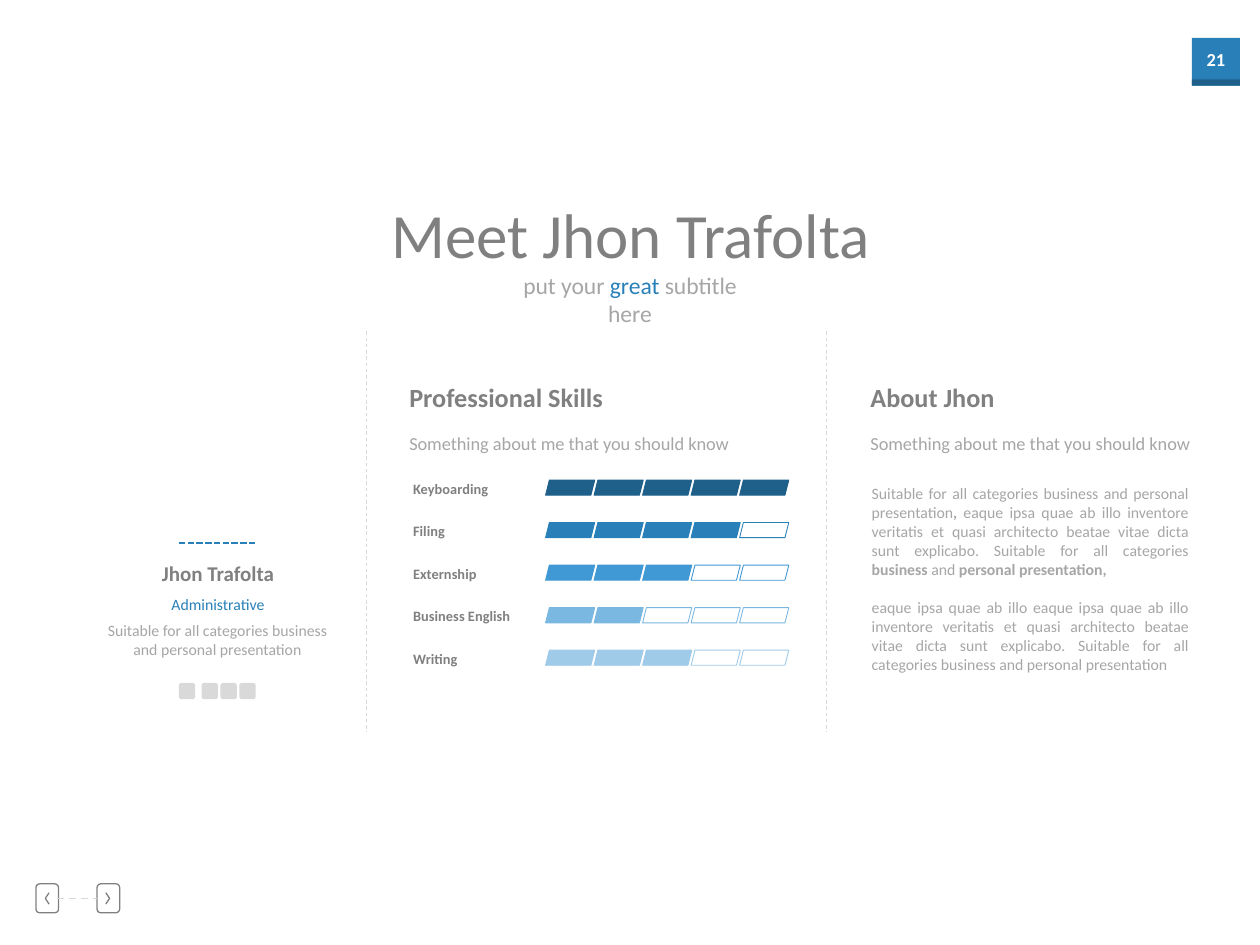
import pptx
import pptx.util
import pptx.dml.color
import pptx.enum.dml
import pptx.enum.shapes
import pptx.enum.text
import pptx.oxml.ns
from lxml import etree

SHAPE = pptx.enum.shapes.MSO_SHAPE
ALIGN = pptx.enum.text.PP_ALIGN
DASH = pptx.enum.dml.MSO_LINE

WIDTH, HEIGHT = 10, 7.5
COLUMNS = 100
CELL = WIDTH / COLUMNS

THEME = {
    "font": "Calibri",
    "dark": "808080", "mid": "A6A6A6", "light": "D9D9D9",
    "accent": "2980B9", "shade": "1F608B", "white": "FFFFFF",
    "levels": ["1F608B", "2980B9", "4098D4", "7BB8E1", "9FCBE9"],
    "title": 36, "heading": 15, "subtitle": 13.5, "name": 12,
    "lead": 10.5, "body": 9, "label": 8.25,
}

SKILLS = [("Keyboarding", 5), ("Filing", 4), ("Externship", 3),
          ("Business English", 2), ("Writing", 3)]
SEGMENTS = 5
LEAD = "Something about me that you should know"
SECTIONS = [(31.5, "Professional Skills"), (68.1, "About Jhon")]

ABOUT = [
    [("Suitable for all categories business and personal presentation",),
     (",", "bold"),
     (" eaque ipsa quae ab illo inventore veritatis et quasi architecto beatae "
      "vitae dicta sunt explicabo. Suitable for all categories ",),
     ("business", "bold"), (" and ",), ("personal presentation,", "bold")],
    [("eaque ipsa quae ab illo eaque ipsa quae ab illo inventore veritatis et "
      "quasi architecto beatae vitae dicta sunt explicabo. Suitable for all "
      "categories business and personal presentation",)],
]

TEXTS = [
    ((94.6, 3.3, 3.8, 2.8), "21", "lead", "white", True),
    ((29.8, 15, 40.5, 7.1), "Meet Jhon Trafolta", "title", "dark", False),
    ((11.7, 44, 11.2, 3), "Jhon Trafolta", "name", "dark", True),
    ((12.5, 46.7, 9.6, 2.5), "Administrative", "body", "accent", False),
    ((6.9, 48.8, 20.7, 4),
     "Suitable for all categories business and personal presentation",
     "body", "mid", False),
]
SUBTITLE = [("put your ",), ("great", "accent"), (" subtitle here",)]

LINES = [
    ((29.1, 26.3), (29.1, 58.1), "light", 0.5, DASH.DASH),
    ((65.6, 26.3), (65.6, 58.1), "light", 0.5, DASH.DASH),
    ((14.2, 43.1), (20.3, 43.1), "accent", 1.25, DASH.SQUARE_DOT),
    ((4.5, 71.3), (7.7, 71.3), "light", 1, DASH.DASH),
]
BUTTONS = [(2.85, 3.9, -0.3), (7.7, 8.4, 0.3)]
ICONS = [14.2, 16, 17.5, 19]


def grid(*cells):
    return [pptx.util.Inches(round(c * CELL, 3)) for c in cells]


def rgb(name):
    return pptx.dml.color.RGBColor.from_string(THEME.get(name, name))


def paint(sp, fill=None, line=None, width=0.5):
    sp.shadow.inherit = False
    if fill:
        sp.fill.solid()
        sp.fill.fore_color.rgb = rgb(fill)
    else:
        sp.fill.background()
    if line:
        sp.line.color.rgb = rgb(line)
        sp.line.width = pptx.util.Pt(width)
    else:
        sp.line.fill.background()


def add_shape(s, kind, box, **style):
    sp = s.shapes.add_shape(kind, *grid(*box))
    paint(sp, **style)
    return sp


def add_text(s, box, paragraphs, size, color, bold=False, align=ALIGN.LEFT):
    tf = s.shapes.add_textbox(*grid(*box)).text_frame
    tf.word_wrap = True
    for i, runs in enumerate(paragraphs):
        p = tf.paragraphs[0] if i == 0 else tf.add_paragraph()
        p.alignment = align
        if i:
            p.space_before = pptx.util.Pt(11)
        p.font.name = THEME["font"]
        p.font.size = pptx.util.Pt(THEME[size])
        p.font.bold = bold
        p.font.color.rgb = rgb(color)
        for text, *mark in runs:
            r = p.add_run()
            r.text = text
            if mark == ["bold"]:
                r.font.bold = True
            elif mark:
                r.font.color.rgb = rgb(mark[0])


def add_line(s, start, end, color, width, dash):
    c = s.shapes.add_connector(pptx.enum.shapes.MSO_CONNECTOR.STRAIGHT,
                               *grid(*start, *end))
    c.line.color.rgb = rgb(color)
    c.line.width = pptx.util.Pt(width)
    c.line.dash_style = dash
    etree.SubElement(c._element.spPr, pptx.oxml.ns.qn("a:effectLst"))


def add_button(s, left, edge, tip):
    add_shape(s, SHAPE.ROUNDED_RECTANGLE, (left, 70.15, 1.8, 2.3),
              line="dark", width=0.75)
    points = [grid(edge + dx, y) for dx, y in ((0, 70.85), (tip, 71.3), (0, 71.75))]
    builder = s.shapes.build_freeform(*points[0])
    builder.add_line_segments(points[1:], close=False)
    paint(builder.convert_to_shape(), line="dark", width=0.75)


def add_skills(s):
    for row, ((name, level), color) in enumerate(zip(SKILLS, THEME["levels"])):
        top = 38.1 + row * 3.375
        add_text(s, (31.8, top - 0.5, 11.5, 2.4), [[(name,)]], "label", "dark", True)
        for col in range(SEGMENTS):
            add_shape(s, SHAPE.PARALLELOGRAM, (43.3 + col * 3.85, top, 3.9, 1.2),
                      fill=color if col < level else None, line=color)


def main():
    prs = pptx.Presentation()
    prs.slide_width = pptx.util.Inches(WIDTH)
    prs.slide_height = pptx.util.Inches(HEIGHT)
    s = prs.slides.add_slide(prs.slide_layouts[6])

    for button in BUTTONS:
        add_button(s, *button)
    add_shape(s, SHAPE.RECTANGLE, (94.6, 3, 3.8, 3.8), fill="accent")
    add_shape(s, SHAPE.RECTANGLE, (94.6, 6.3, 3.8, 0.5), fill="shade")
    for left in ICONS:
        add_shape(s, SHAPE.ROUNDED_RECTANGLE, (left, 54.2, 1.3, 1.3), fill="light")
    for line in LINES:
        add_line(s, *line)

    for box, text, size, color, bold in TEXTS:
        add_text(s, box, [[(text,)]], size, color, bold, ALIGN.CENTER)
    add_text(s, (39, 21, 22, 3.3), [SUBTITLE], "subtitle", "mid", align=ALIGN.CENTER)
    for left, heading in SECTIONS:
        add_text(s, (left, 29.8, 28.3, 3.5), [[(heading,)]], "heading", "dark", True)
        add_text(s, (left, 33.8, 28.3, 2.8), [[(LEAD,)]], "lead", "mid")
    add_skills(s)
    add_text(s, (68.2, 37.9, 27.1, 16.2), ABOUT, "body", "mid", align=ALIGN.JUSTIFY)

    prs.save("out.pptx")


if __name__ == "__main__":
    main()
